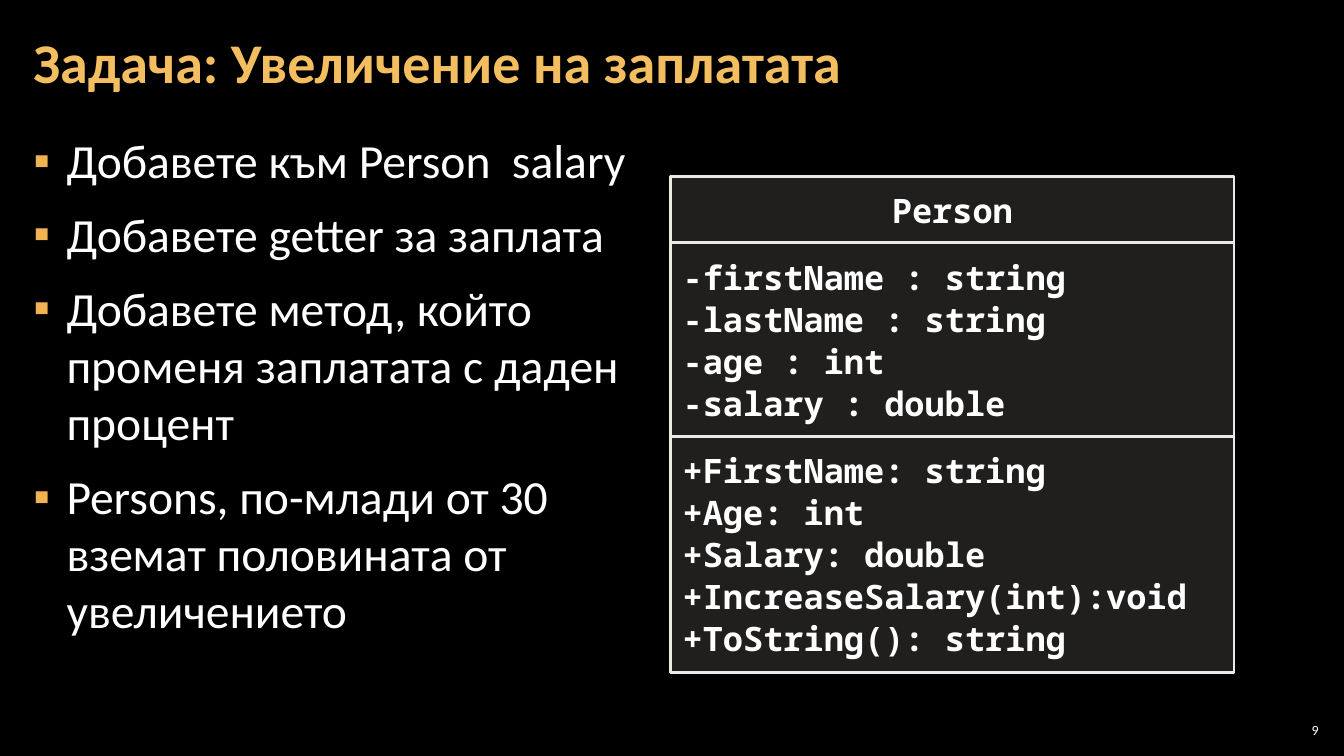
from lxml import etree
from pptx import Presentation
from pptx import util as u
from pptx.dml.color import RGBColor
from pptx.enum import text
from pptx.oxml import ns

BLACK = RGBColor(0x00, 0x00, 0x00)
WHITE = RGBColor(0xFF, 0xFF, 0xFF)
GOLD = RGBColor(0xF3, 0xBE, 0x60)
BULLET = RGBColor(0xF2, 0xB2, 0x54)
PANEL = RGBColor(0xD9, 0xD5, 0xC7)
BORDER = RGBColor(0xEC, 0xEA, 0xE3)

TASKS = [
    "Добавете към Person  salary",
    "Добавете getter за заплата",
    "Добавете метод, който променя заплатата с даден процент",
    "Persons, по-млади от 30 вземат половината от увеличението",
]
PERSON_CLASS = [
    ["Person"],
    ["-firstName : string", "-lastName : string", "-age : int", "-salary : double"],
    ["+FirstName: string", "+Age: int", "+Salary: double",
     "+IncreaseSalary(int):void", "+ToString(): string"],
]


def place(shape, left, top, width, height):
    """Position a shape, with all lengths in inches."""
    shape.left, shape.top = u.Inches(left), u.Inches(top)
    shape.width, shape.height = u.Inches(width), u.Inches(height)


def add_bullet(paragraph):
    """Give a paragraph a hanging square bullet."""
    properties = paragraph._p.get_or_add_pPr()
    properties.set("marL", str(u.Inches(0.33)))
    properties.set("indent", str(-u.Inches(0.33)))
    color = etree.SubElement(properties, ns.qn("a:buClr"))
    etree.SubElement(color, ns.qn("a:srgbClr"), val=str(BULLET))
    etree.SubElement(properties, ns.qn("a:buChar"), char="▪")


def write(shape, lines, *, size, font="Calibri", color=WHITE, bold=False,
          align=text.PP_ALIGN.LEFT, anchor=text.MSO_ANCHOR.TOP,
          margins=(0.12, 0.04), spacing=1.0, gap=0, bullets=False):
    """Fill a shape with one formatted paragraph per line."""
    frame = shape.text_frame
    frame.word_wrap = True
    frame.auto_size = text.MSO_AUTO_SIZE.NONE
    frame.vertical_anchor = anchor
    frame.margin_left = frame.margin_right = u.Inches(margins[0])
    frame.margin_top = frame.margin_bottom = u.Inches(margins[1])
    for index, line in enumerate(lines):
        paragraph = frame.add_paragraph() if index else frame.paragraphs[0]
        if bullets:
            add_bullet(paragraph)
        paragraph.alignment = align
        paragraph.line_spacing = spacing
        paragraph.space_before = u.Pt(gap if index else 0)
        paragraph.space_after = u.Pt(gap)
        run = paragraph.add_run()
        run.text = line
        run.font.name = font
        run.font.size = u.Pt(size)
        run.font.bold = bold
        run.font.color.rgb = color


def add_compartment(group, lines, top, height, align):
    """Add one translucent box of the class diagram."""
    box = group.shapes.add_shape(1, 0, 0, 0, 0)
    place(box, 6.65, top, 5.59, height)
    box.shadow.inherit = False
    box.fill.solid()
    box.fill.fore_color.rgb = PANEL
    fill_color = box.fill._xPr.find(ns.qn("a:solidFill"))[0]
    etree.SubElement(fill_color, ns.qn("a:alpha"), val="15000")
    box.line.color.rgb = BORDER
    box.line.width = u.Pt(2)
    write(box, lines, size=24, font="Noto Sans Mono", bold=True, align=align,
          margins=(0.12, 0.12), spacing=u.Pt(30))


def add_class_diagram(slide, compartments):
    """Stack the compartments, each as tall as its lines need."""
    group = slide.shapes.add_group_shape()
    top = 1.75
    for index, lines in enumerate(compartments):
        height = 0.24 + 0.42 * len(lines)
        align = text.PP_ALIGN.LEFT if index else text.PP_ALIGN.CENTER
        add_compartment(group, lines, top, height, align)
        top += height


def main():
    """Build the slide and save it."""
    presentation = Presentation()
    presentation.slide_width = u.Inches(13.33)
    presentation.slide_height = u.Inches(7.5)
    slide = presentation.slides.add_slide(presentation.slide_layouts[1])
    slide.background.fill.solid()
    slide.background.fill.fore_color.rgb = BLACK

    title, body = slide.placeholders
    place(title, 0.21, 0.04, 12.91, 1.21)
    write(title, ["Задача: Увеличение на заплатата"], size=40, color=GOLD,
          bold=True, anchor=text.MSO_ANCHOR.MIDDLE, spacing=0.9)
    place(body, 0.21, 1.26, 6.29, 5.42)
    write(body, TASKS, size=34, gap=6, bullets=True)

    add_class_diagram(slide, PERSON_CLASS)

    number = slide.shapes.add_textbox(0, 0, 0, 0)
    place(number, 12.65, 7.14, 0.47, 0.21)
    write(number, ["9"], size=10, align=text.PP_ALIGN.RIGHT,
          anchor=text.MSO_ANCHOR.MIDDLE, margins=(0.04, 0.04))
    presentation.save("out.pptx")


if __name__ == "__main__":
    main()
